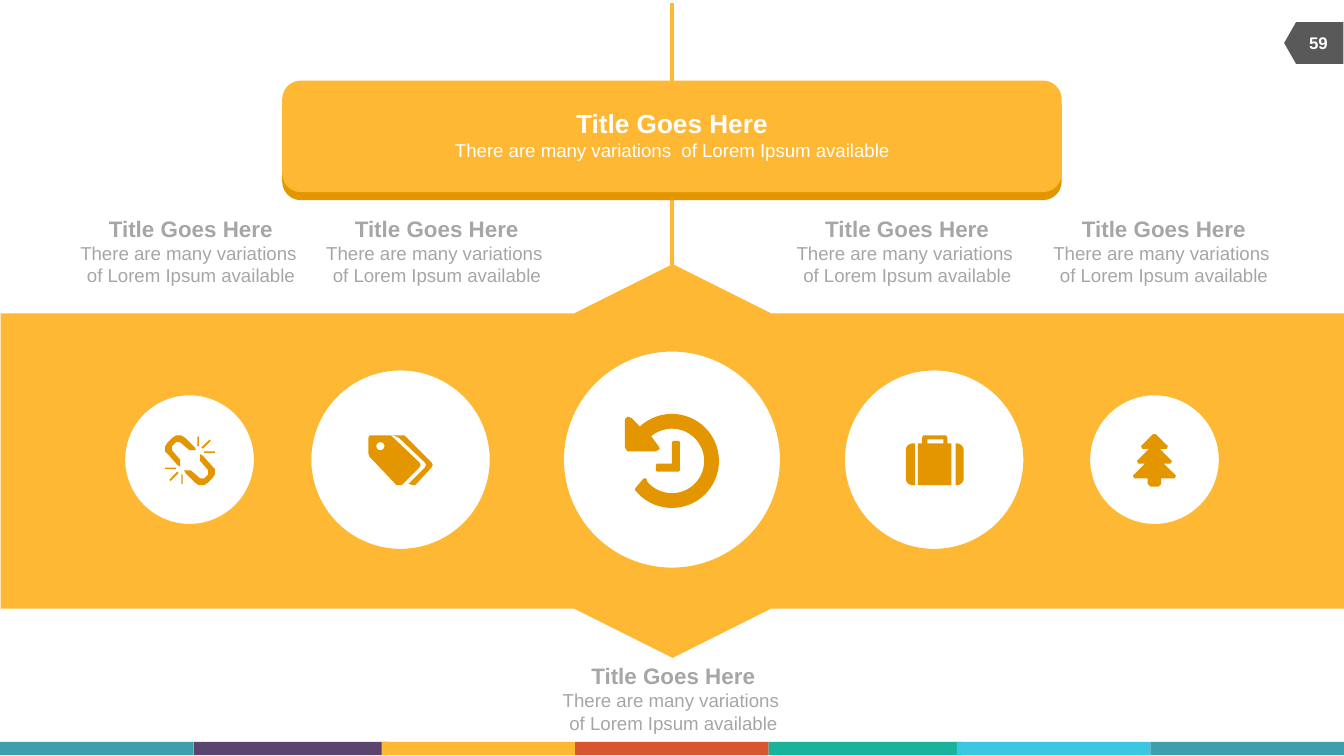
"""Builds a hub slide: a banner, a callout band with five icon circles, and their labels."""

import dataclasses
import math

import lxml.etree
import pptx
import pptx.dml.color
import pptx.enum.shapes
import pptx.enum.text
import pptx.oxml.ns
import pptx.shapes.autoshape
import pptx.slide
import pptx.text.text
import pptx.util

Inches = pptx.util.Inches
Shape = pptx.enum.shapes.MSO_SHAPE
Point = tuple[float, float]
Contour = list[Point]

COLORS = {
    "teal": "3D9FAC", "purple": "5B4470", "amber": "FEB834", "red": "D7562E",
    "green": "1BB29C", "sky": "3BC7E2", "dark amber": "E49601",
    "charcoal": "595959", "gray": "A6A6A6", "white": "FFFFFF",
}
STRIP = ["teal", "purple", "amber", "red", "green", "sky", "teal"]
STRIP_OFFSETS = [0, 1.44, 2.84]
STRIP_PERIOD = 4.28
MIDDLE_X, MIDDLE_Y = 5, 3.42
BAND_SHARE = 0.75
HEADING = "Title Goes Here"
BANNER_TEXT = "There are many variations  of Lorem Ipsum available"
LABEL_TEXT = "There are many variations \vof Lorem Ipsum available"


@dataclasses.dataclass
class Station:
    """A circle on the band, its icon outline and the label that goes with it."""
    center: float
    diameter: float
    label_center: float
    label_top: float
    icon: list[Contour]


def color(name: str) -> pptx.dml.color.RGBColor:
    return pptx.dml.color.RGBColor.from_string(COLORS[name])


def arc(center: Point, radius: float, start: float, end: float) -> Contour:
    steps = max(3, math.ceil(abs(end - start) / 6))
    angles = [math.radians(start + (end - start) * i / steps) for i in range(steps + 1)]
    return [(center[0] + radius * math.cos(a), center[1] + radius * math.sin(a)) for a in angles]


def rounded(left: float, top: float, right: float, bottom: float,
            left_radius: float, right_radius: float) -> Contour:
    points: Contour = []
    for x, y, sign_x, sign_y, radius, start in [
        (left, top, 1, 1, left_radius, 180), (right, top, -1, 1, right_radius, 270),
        (right, bottom, -1, -1, right_radius, 0), (left, bottom, 1, -1, left_radius, 90),
    ]:
        points += arc((x + sign_x * radius, y + sign_y * radius), radius, start, start + 90)
    return points


def history_icon() -> list[Contour]:
    center = (MIDDLE_X, 3.43)
    head = [(4.7, 3.11), (4.67, 3.1), (4.65, 3.12), (4.65, 3.33), (4.67, 3.36),
            (4.88, 3.36), (4.91, 3.34), (4.9, 3.32)]
    ring = arc(center, 0.35, 142, -133) + head + arc(center, 0.24, -130, 140)
    tail = [(4.81, 3.56), (4.79, 3.56), (4.73, 3.63)]
    hands = [(5.06, 3.29), (5.06, 3.5), (5.05, 3.51), (4.89, 3.51), (4.88, 3.5),
             (4.88, 3.46), (4.89, 3.45), (5, 3.45), (5, 3.29), (5.01, 3.28), (5.05, 3.28)]
    return [ring + tail, hands]


def tags_icon() -> list[Contour]:
    front = [(2.74, 3.26), (2.75, 3.24), (2.88, 3.24), (2.91, 3.24), (2.93, 3.26),
             (3.12, 3.44), (3.13, 3.46), (3.12, 3.48), (2.99, 3.61), (2.97, 3.61),
             (2.95, 3.61), (2.77, 3.42), (2.75, 3.4), (2.74, 3.37)]
    back = [(2.92, 3.24), (2.98, 3.24), (3.01, 3.24), (3.03, 3.26), (3.21, 3.44),
            (3.22, 3.46), (3.21, 3.48), (3.09, 3.61), (3.07, 3.61), (3.04, 3.6),
            (3.16, 3.48), (3.17, 3.46), (3.16, 3.44), (2.97, 3.26), (2.95, 3.25)]
    return [front, arc((2.83, 3.32), 0.03, 0, 360), back]


def suitcase_icon() -> list[Contour]:
    body = [(6.83, 3.3), (6.86, 3.3), (6.86, 3.26), (6.87, 3.24), (6.89, 3.24),
            (7.02, 3.24), (7.04, 3.24), (7.05, 3.26), (7.05, 3.3), (7.08, 3.3),
            (7.08, 3.61), (6.83, 3.61)]
    grip = [(6.9, 3.27), (7.02, 3.27), (7.02, 3.3), (6.9, 3.3)]
    return [rounded(6.74, 3.3, 6.81, 3.61, 0.05, 0), body, grip,
            rounded(7.11, 3.3, 7.17, 3.61, 0, 0.05)]


def chain_icon() -> list[Contour]:
    link = [(1.41, 3.35), (1.34, 3.29), (1.33, 3.29), (1.31, 3.29), (1.28, 3.32),
            (1.28, 3.34), (1.28, 3.35), (1.34, 3.42), (1.34, 3.47), (1.32, 3.46),
            (1.25, 3.38), (1.23, 3.36), (1.23, 3.32), (1.25, 3.29), (1.28, 3.26),
            (1.31, 3.24), (1.35, 3.24), (1.38, 3.26), (1.45, 3.33), (1.46, 3.35)]
    rays = [[(1.23, 3.48), (1.31, 3.48), (1.31, 3.49), (1.23, 3.49)],
            [(1.26, 3.57), (1.32, 3.51), (1.33, 3.52), (1.27, 3.58)],
            [(1.35, 3.53), (1.36, 3.53), (1.36, 3.6), (1.35, 3.6)]]
    half = [link, *rays]
    return half + [[(2.83 - x, 6.85 - y) for x, y in contour] for contour in half]


def tree_icon() -> list[Contour]:
    right = [(8.6, 3.23), (8.69, 3.32), (8.68, 3.34), (8.63, 3.34), (8.72, 3.43),
             (8.71, 3.45), (8.66, 3.45), (8.75, 3.54), (8.74, 3.56), (8.64, 3.56),
             (8.64, 3.6), (8.62, 3.62)]
    return [right + [(17.18 - x, y) for x, y in reversed(right)]]


STATIONS = [
    Station(1.41, 1.02, 1.42, 1.55, chain_icon()),
    Station(2.98, 1.39, 3.25, 1.55, tags_icon()),
    Station(MIDDLE_X, 1.67, 5.01, 4.88, history_icon()),
    Station(6.95, 1.39, 6.75, 1.55, suitcase_icon()),
    Station(8.59, 1.02, 8.66, 1.55, tree_icon()),
]


def add_block(page: pptx.slide.Slide, kind: Shape, left: float, top: float, width: float,
              height: float, fill: str) -> pptx.shapes.autoshape.Shape:
    block = page.shapes.add_shape(kind, Inches(left), Inches(top), Inches(width), Inches(height))
    block.shadow.inherit = False
    block.fill.solid()
    block.fill.fore_color.rgb = color(fill)
    block.line.fill.background()
    return block


def add_stem(page: pptx.slide.Slide, top: float, bottom: float) -> None:
    stem = page.shapes.add_connector(pptx.enum.shapes.MSO_CONNECTOR.STRAIGHT, Inches(MIDDLE_X),
                                     Inches(top), Inches(MIDDLE_X), Inches(bottom))
    stem.line.color.rgb = color("amber")
    stem.line.width = pptx.util.Pt(2.25)
    properties = stem.element.find(pptx.oxml.ns.qn("p:spPr"))
    lxml.etree.SubElement(properties, pptx.oxml.ns.qn("a:effectLst"))


def add_icon(page: pptx.slide.Slide, contours: list[Contour]) -> None:
    outlines = [[(Inches(x), Inches(y)) for x, y in contour] for contour in contours]
    builder = page.shapes.build_freeform(*outlines[0][0])
    builder.add_line_segments(outlines[0][1:])
    for outline in outlines[1:]:
        builder.move_to(*outline[0])
        builder.add_line_segments(outline[1:])
    icon = builder.convert_to_shape()
    icon.shadow.inherit = False
    icon.fill.solid()
    icon.fill.fore_color.rgb = color("dark amber")
    icon.line.fill.background()


def write(frame: pptx.text.text.TextFrame, lines: list[str], sizes: list[int], ink: str) -> None:
    frame.word_wrap = True
    frame.text = "\n".join(lines)
    for index, (para, size) in enumerate(zip(frame.paragraphs, sizes)):
        para.alignment = pptx.enum.text.PP_ALIGN.CENTER
        para.font.name = "Arial"
        para.font.size = pptx.util.Pt(size)
        para.font.bold = index == 0
        para.font.color.rgb = color(ink)


def add_station(page: pptx.slide.Slide, station: Station) -> None:
    size = station.diameter
    circle = add_block(page, Shape.OVAL, station.center - size / 2, MIDDLE_Y - size / 2,
                       size, size, "white")
    circle.line.color.rgb = color("amber")
    circle.line.width = pptx.util.Pt(4.5)
    add_icon(page, station.icon)
    label = page.shapes.add_textbox(Inches(station.label_center - 1), Inches(station.label_top),
                                    Inches(2), Inches(0.64))
    write(label.text_frame, [HEADING, LABEL_TEXT], [12, 10], "gray")


def add_banner(page: pptx.slide.Slide) -> None:
    for top, fill in [(0.66, "dark amber"), (0.6, "amber")]:
        add_block(page, Shape.ROUNDED_RECTANGLE, 2.1, top, 5.8, 0.83, fill)
    title = page.shapes.title
    title.left, title.top, title.width, title.height = map(Inches, (2.81, 0.75, 4.38, 0.5))
    title.text_frame.vertical_anchor = pptx.enum.text.MSO_ANCHOR.TOP
    title.text_frame.auto_size = pptx.enum.text.MSO_AUTO_SIZE.NONE
    write(title.text_frame, [HEADING, BANNER_TEXT], [14, 10], "white")
    page.shapes.element.append(title.element)


def add_page_number(page: pptx.slide.Slide) -> None:
    add_block(page, Shape.FLOWCHART_OFFPAGE_CONNECTOR, 9.62, 0.1, 0.31, 0.44, "charcoal").rotation = 90
    number = page.shapes.add_textbox(Inches(9.6), Inches(0.17), Inches(0.42), Inches(0.3))
    number.text_frame.vertical_anchor = pptx.enum.text.MSO_ANCHOR.MIDDLE
    write(number.text_frame, ["59"], [9], "white")


def main() -> None:
    deck = pptx.Presentation()
    deck.slide_width = Inches(10)
    deck.slide_height = deck.slide_width * 9 // 16
    page = deck.slides.add_slide(deck.slide_layouts.get_by_name("Title Only"))
    for index, fill in enumerate(STRIP):
        period, step = divmod(index, len(STRIP_OFFSETS))
        left = period * STRIP_PERIOD + STRIP_OFFSETS[step]
        add_block(page, Shape.RECTANGLE, left, 5.52, 1.44, 0.1, fill)
    add_stem(page, 1.49, 2.11)
    band = add_block(page, Shape.LEFT_RIGHT_ARROW_CALLOUT, 3.54, -1.57, 2.93, 10, "amber")
    band.rotation = 270
    for index, value in enumerate([0.5, 0.25, (1 - BAND_SHARE) / 2, BAND_SHARE]):
        band.adjustments[index] = value
    add_stem(page, 0.02, 0.63)
    add_banner(page)
    add_page_number(page)
    for station in STATIONS:
        add_station(page, station)
    deck.save("out.pptx")


if __name__ == "__main__":
    main()
